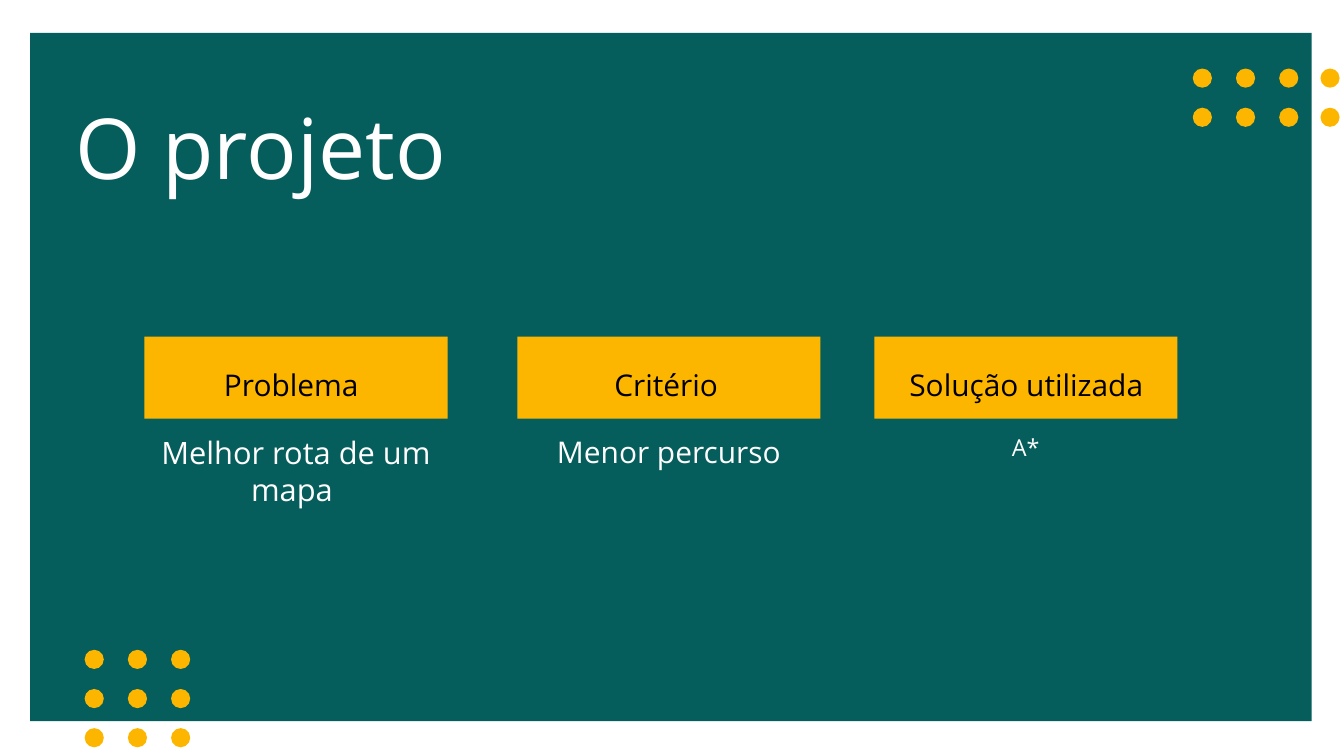
from dataclasses import dataclass
from itertools import product

from pptx import Presentation
from pptx.dml.color import RGBColor
from pptx.enum.shapes import MSO_SHAPE as Preset
from pptx.enum.text import MSO_ANCHOR as Anchor, MSO_AUTO_SIZE as AutoSize, PP_ALIGN as Align
from pptx.util import Inches, Pt


@dataclass(frozen=True)
class Theme:
    font: str = "Open Sans"
    green: str = "055E5C"
    yellow: str = "FDB600"
    white: str = "FFFFFF"
    black: str = "000000"
    title_size: int = 90
    label_size: int = 32


theme = Theme()

TITLE = "O projeto"
COLUMNS = [
    {"label": "Problema", "text": "Melhor rota de um mapa ", "size": 33,
     "left": 2.15, "label_left": 2.08, "height": 1.11},
    {"label": "Critério", "text": "Menor percurso", "size": 32,
     "left": 7.7, "label_left": 7.66, "height": 0.54},
    {"label": "Solução utilizada", "text": "A*", "size": 25,
     "left": 13.01, "label_left": 13.02, "height": 0.42},
]
COLUMN_WIDTH = 4.51
DOT_SIZE = 0.285
DOT_PITCH_X, DOT_PITCH_Y = 0.643, 0.583
DOT_GRIDS = [
    ([1.26 + DOT_PITCH_X * i for i in range(3)], [9.67 + DOT_PITCH_Y * i for i in range(3)]),
    ([17.75 + DOT_PITCH_X * i for i in range(3)] + [19.65], [1.02, 1.02 + DOT_PITCH_Y]),
]


def add_filled(slide, preset, box, color):
    shape = slide.shapes.add_shape(preset, *map(Inches, box))
    shape.shadow.inherit = False
    shape.fill.solid()
    shape.fill.fore_color.rgb = RGBColor.from_string(color)
    shape.line.fill.background()
    return shape


def write(shape, text, size, color, align=Align.CENTER, spacing=1.0, anchor=Anchor.TOP, inset=0):
    frame = shape.text_frame
    frame.word_wrap = True
    frame.auto_size = AutoSize.NONE
    frame.vertical_anchor = anchor
    frame.margin_left = frame.margin_right = Inches(inset)
    frame.margin_top = frame.margin_bottom = Inches(inset)
    paragraph = frame.paragraphs[0]
    paragraph.alignment = align
    paragraph.line_spacing = spacing
    run = paragraph.add_run()
    run.text = text
    run.font.name = theme.font
    run.font.size = Pt(size)
    run.font.color.rgb = RGBColor.from_string(color)


presentation = Presentation()
presentation.slide_width = Inches(20)
presentation.slide_height = Inches(11.25)
slide = presentation.slides.add_slide(presentation.slide_layouts.get_by_name("Title Only"))

add_filled(slide, Preset.RECTANGLE, (0.45, 0.49, 19.07, 10.24), theme.green)

title = slide.shapes.title
title.element.getparent().append(title.element)
title.left, title.top, title.width, title.height = map(Inches, (1.12, 1.12, 7.68, 1.52))
write(title, TITLE, theme.title_size, theme.white, Align.LEFT, spacing=1.2)

for column in COLUMNS:
    add_filled(slide, Preset.RECTANGLE, (column["left"], 5.01, COLUMN_WIDTH, 1.22), theme.yellow)
    label = slide.shapes.add_textbox(*map(Inches, (column["label_left"], 5.08, COLUMN_WIDTH, 1.02)))
    write(label, column["label"], theme.label_size, theme.black,
          spacing=1.5, anchor=Anchor.MIDDLE, inset=0.28)
    detail = slide.shapes.add_textbox(
        *map(Inches, (column["left"], 6.45, COLUMN_WIDTH, column["height"])))
    write(detail, column["text"], column["size"], theme.white)

for lefts, tops in DOT_GRIDS:
    for top, left in product(tops, lefts):
        add_filled(slide, Preset.OVAL, (left, top, DOT_SIZE, DOT_SIZE), theme.yellow)

presentation.save("out.pptx")
